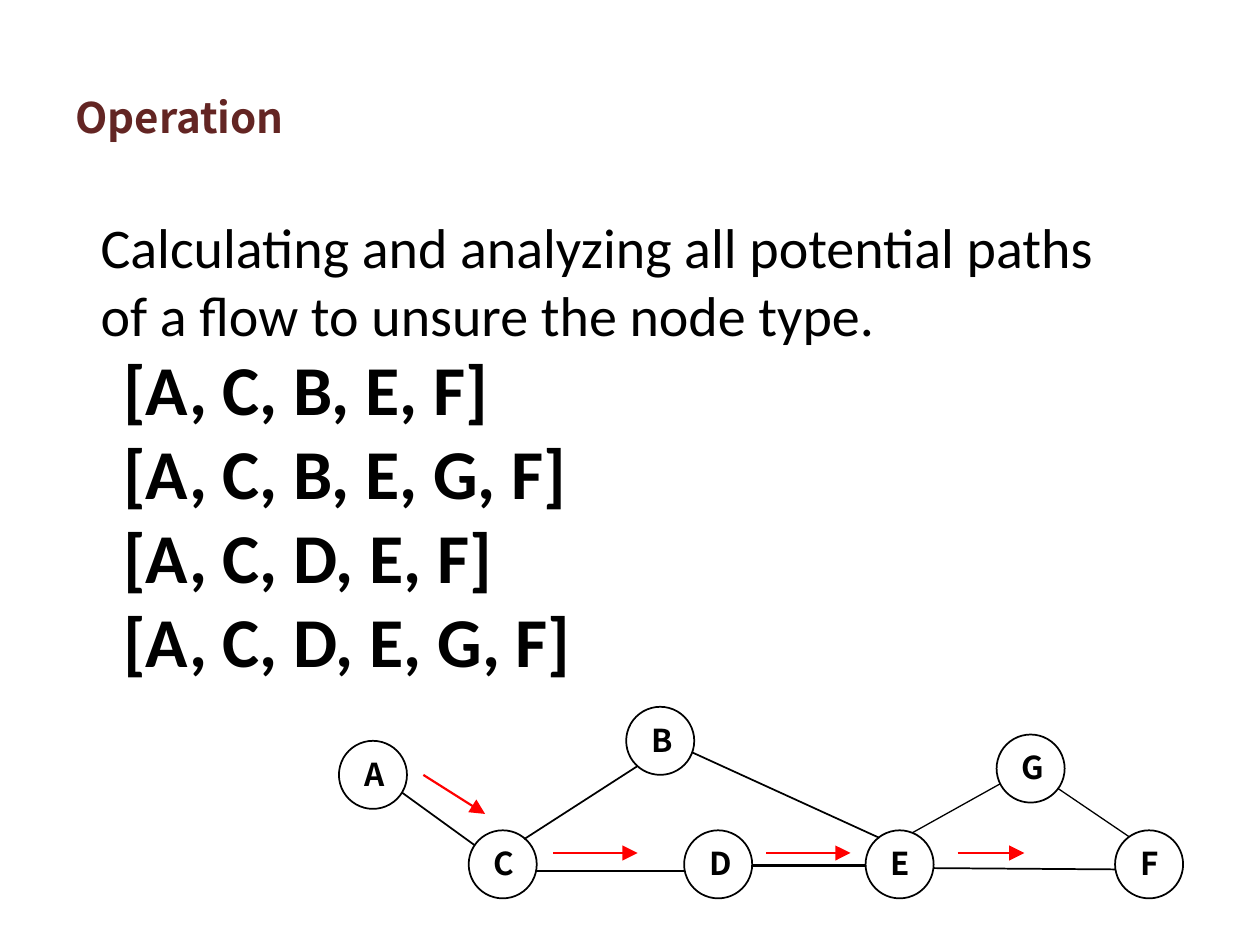
import math

from pptx import Presentation
from pptx import util as u
from pptx.dml.color import RGBColor
from pptx.enum import shapes, text
from pptx.oxml.ns import qn

PX = 9144  # EMU per px, 100 px to the inch
BLACK, RED, MAROON = "000000", "FF0000", "632523"
BODY, HEADING = "Calibri", "Noto Sans CJK SC"
NODE_SIZE = 54
NODES = {"A": (269, 588), "B": (497, 561), "C": (372, 659), "D": (543, 659),
         "E": (687, 659), "F": (885, 659), "G": (791, 583)}
EDGES = [  # start, end, width in points
    ((319, 629), (377, 671), 1),        # A-C
    ((416, 666), (506, 608), 1),        # C-B
    ((549, 597), (698, 665), 1),        # B-E
    ((425, 691), (544, 691), 1),        # C-D
    ((597, 687), (687, 687), 1.25),     # D-E
    ((741, 689), (885, 690), 1),        # E-F
    ((794, 622), (724, 661), 0.75),     # G-E
    ((840, 626), (896, 664), 0.75),     # G-F
]
FLOW = [((336, 615), (385, 646)), ((439, 677), (506, 677)),
        ((608, 677), (675, 677)), ((760, 677), (813, 677))]
PATHS = ["[A, C, B, E, F]", "[A, C, B, E, G, F]",
         "[A, C, D, E, F]", "[A, C, D, E, G, F]"]


def color(value):
    return RGBColor.from_string(value)


def px(*lengths):
    return [u.Emu(round(n * PX)) for n in lengths]


class Diagram:
    """The current slide and the style of what is drawn on it."""

    def __init__(self, prs):
        self.slide = prs.slides.add_slide(prs.slide_layouts[6])
        self.shapes = self.slide.shapes

    def text(self, box, lines, size, font=BODY, fill=BLACK, bold=False,
             tight=False, grow=True, anchor=text.MSO_ANCHOR.TOP):
        """Add a text box; a tight one has no margins and does not wrap."""
        tf = self.shapes.add_textbox(*px(*box)).text_frame
        tf.word_wrap = not tight
        tf.vertical_anchor = anchor
        if grow:
            tf.auto_size = text.MSO_AUTO_SIZE.SHAPE_TO_FIT_TEXT
        if tight:
            tf.margin_left = tf.margin_top = tf.margin_right = tf.margin_bottom = 0
        tf.text = "\n".join(lines)
        for p in tf.paragraphs:
            p.font.size, p.font.name, p.font.bold = u.Pt(size), font, bold
            p.font.color.rgb = color(fill)

    def line(self, start, end, width, stroke=BLACK):
        sp = self.shapes.add_connector(shapes.MSO_CONNECTOR.STRAIGHT,
                                       *px(*start, *end))
        sp.line.width = u.Pt(width)
        sp.line.color.rgb = color(stroke)
        sp._element.spPr.append(sp._element.makeelement(qn("a:effectLst"), {}))

    def arrow(self, start, tip, length=12, half=6):
        """Draw a line that ends in a filled triangular head at tip."""
        (x0, y0), (x, y) = start, tip
        run = math.dist(start, tip)
        dx, dy = (x - x0) / run, (y - y0) / run
        bx, by = x - length * dx, y - length * dy
        self.line(start, (bx + 2 * dx, by + 2 * dy), 1.25, RED)
        left = px(bx + half * dy, by - half * dx)
        right = px(bx - half * dy, by + half * dx)
        builder = self.shapes.build_freeform(*left)
        builder.add_line_segments([px(x, y), right], close=True)
        sp = builder.convert_to_shape()
        sp.shadow.inherit = False
        sp.fill.solid()
        sp.fill.fore_color.rgb = color(RED)
        sp.line.fill.background()

    def node(self, name, x, y):
        sp = self.shapes.add_shape(shapes.MSO_SHAPE.OVAL,
                                   *px(x, y, NODE_SIZE, NODE_SIZE))
        sp.shadow.inherit = False
        sp.fill.background()
        sp.line.width = u.Pt(1)
        sp.line.color.rgb = color(BLACK)
        self.text((x + 20, y + 11, 31, 33), [name], 18, HEADING,
                  bold=True, tight=True)


def main():
    prs = Presentation()
    prs.slide_width, prs.slide_height = px(1000, 750)
    s = Diagram(prs)
    s.text((50, 30, 900, 125), ["Operation"], 24, HEADING, MAROON, bold=True,
           grow=False, anchor=text.MSO_ANCHOR.MIDDLE)
    s.text((70, 164, 833, 118),
           ["Calculating and analyzing all potential paths of a flow "
            "to unsure the node type."], 32)
    s.text((88, 269, 528, 279), PATHS, 40, bold=True)
    for name, (x, y) in NODES.items():
        s.node(name, x, y)
    for start, end, width in EDGES:
        s.line(start, end, width)
    for start, tip in FLOW:
        s.arrow(start, tip)
    prs.save("out.pptx")


if __name__ == "__main__":
    main()
